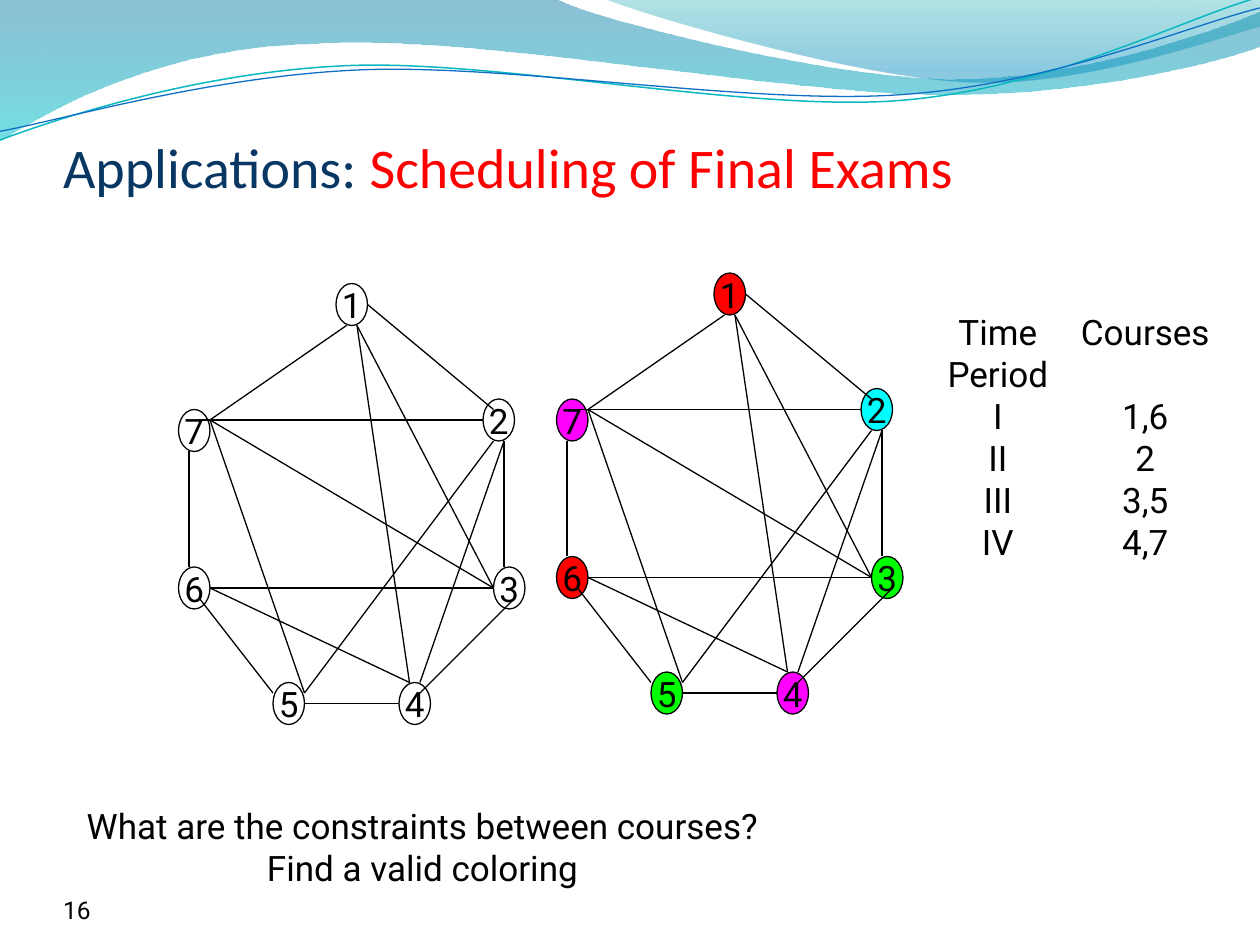
from lxml.etree import SubElement
from pptx import Presentation
from pptx.dml.color import RGBColor
from pptx.enum.shapes import MSO_CONNECTOR, MSO_SHAPE
from pptx.enum.text import MSO_ANCHOR, MSO_AUTO_SIZE, PP_ALIGN
from pptx.oxml.ns import qn
from pptx.util import Pt

BLACK = RGBColor(0x00, 0x00, 0x00)
NAVY = RGBColor(0x08, 0x37, 0x63)
RED = RGBColor(0xFF, 0x00, 0x00)
MAGENTA = RGBColor(0xFF, 0x00, 0xFF)
CYAN = RGBColor(0x00, 0xFF, 0xFF)
GREEN = RGBColor(0x00, 0xFF, 0x00)
DEEP_BLUE = RGBColor(0x00, 0x74, 0xA1)
AQUA = RGBColor(0x00, 0xC6, 0xCF)
TEAL = RGBColor(0x00, 0xA1, 0xA9)
BLUE = RGBColor(0x00, 0x8B, 0xBF)
TEAL_LINE = RGBColor(0x0A, 0xB8, 0xBF)
BLUE_LINE = RGBColor(0x0F, 0x6F, 0xC6)

# Wave outlines in points: a start, then lines (2 numbers) or Bezier curves (6)
BROAD_WAVE = [(0, 0), (317, -1), (343, 12, 478, 45, 546, 45),
              (614, 45, 690, 19, 720, 6.5), (721, 26),
              (708, 32, 626, 55, 537, 54), (448, 54, 275, 20, 185, 24.5),
              (93, 26, 33, 60, -1, 81)]
RIGHT_WAVE = [(345, -1), (366, 8, 491, 45, 554, 47),
              (616, 50, 692, 23, 720, 15), (720, 0)]
TEAL_CURVE = [(0, 80), (35, 67, 114, 41, 199, 37.5),
              (284, 34, 427, 64, 513, 57.5), (600, 51, 675, 11, 719, -1.5)]
BLUE_CURVE = [(0, 75), (34, 69, 118, 44, 204, 40),
              (290, 36, 430, 60.5, 516, 54), (602, 48, 678, 15, 720, 4.5)]

# Course conflict graph: left and top of each course, ends of each conflict
COURSES = {1: (192, 162), 7: (102, 234), 2: (276, 228), 3: (282, 324),
           6: (102, 324), 5: (156, 390), 4: (228, 390)}
CONFLICTS = [
    (210, 174, 282, 234), (204, 186, 282, 336), (204, 186, 234, 390),
    (282, 252, 174, 396), (276, 240, 114, 240), (108, 258, 108, 324),
    (120, 336, 282, 336), (174, 396, 120, 240), (234, 390, 120, 336),
    (120, 240, 198, 186), (288, 252, 288, 324), (288, 252, 240, 390),
    (228, 402, 174, 402), (156, 396, 114, 342), (240, 396, 294, 342),
    (282, 336, 120, 240)]
COLORING = {1: RED, 6: RED, 2: CYAN, 3: GREEN, 5: GREEN, 4: MAGENTA, 7: MAGENTA}


def write(shape, lines, font="Roboto", size=20, color=BLACK, align=PP_ALIGN.CENTER,
          anchor=MSO_ANCHOR.TOP, insets=None, wrap=False, fit=MSO_AUTO_SIZE.NONE,
          first_gap=0):
    """Fill a shape with lines; a line is a string or a list of (text, color)."""
    frame = shape.text_frame
    frame.word_wrap = wrap
    frame.auto_size = fit
    frame.vertical_anchor = anchor
    if insets:
        (frame.margin_left, frame.margin_top,
         frame.margin_right, frame.margin_bottom) = map(Pt, insets)
    for index, line in enumerate(lines):
        paragraph = frame.paragraphs[0] if index == 0 else frame.add_paragraph()
        paragraph.alignment = align
        if index == 0 and first_gap:
            paragraph.space_after = Pt(first_gap)
        for text, run_color in [(line, color)] if isinstance(line, str) else line:
            run = paragraph.add_run()
            run.text = text
            run.font.name = font
            run.font.size = Pt(size)
            run.font.color.rgb = run_color


def add_text(shapes, box, lines, **text_format):
    write(shapes.add_textbox(*map(Pt, box)), lines, **text_format)


def add_outline(shapes, outline, close):
    """Add a freeform, merging each three points of a curve into one Bezier."""
    start, *segments = outline
    points = [(Pt(x), Pt(y)) for segment in segments
              for x, y in zip(segment[::2], segment[1::2])]
    builder = shapes.build_freeform(Pt(start[0]), Pt(start[1]))
    builder.add_line_segments(points, close=close)
    shape = builder.convert_to_shape()
    shape.shadow.inherit = False
    steps = iter(list(shape.element.spPr.iter(qn("a:lnTo"))))
    for segment in segments:
        first = next(steps)
        if len(segment) == 6:
            first.tag = qn("a:cubicBezTo")
            for _ in range(2):
                step = next(steps)
                first.append(step[0])
                step.getparent().remove(step)
    return shape


def add_wave(shapes, outline, stops):
    """Add a closed wave; stops are (position, color, opacity in percent)."""
    wave = add_outline(shapes, outline, close=True)
    wave.line.fill.background()
    wave.fill.gradient()
    wave.fill.gradient_angle = 270
    for stop, (position, color, _) in zip(wave.fill.gradient_stops, stops):
        stop.position = position
        stop.color.rgb = color
    colors = wave.element.spPr.iter(qn("a:srgbClr"))
    for color_element, (_, _, opacity) in zip(list(colors), stops):
        SubElement(color_element, qn("a:alpha"), val=str(opacity * 1000))


def add_curve(shapes, outline, color, width):
    curve = add_outline(shapes, outline, close=False)
    curve.fill.background()
    curve.line.color.rgb = color
    curve.line.width = Pt(width)


def add_course(shapes, number, left, top, fill):
    course = shapes.add_shape(MSO_SHAPE.OVAL, Pt(left), Pt(top), Pt(18), Pt(24))
    course.shadow.inherit = False
    if fill is None:
        course.fill.background()
    else:
        course.fill.solid()
        course.fill.fore_color.rgb = fill
    course.line.color.rgb = BLACK
    course.line.width = Pt(0.75)
    write(course, [str(number)], anchor=MSO_ANCHOR.MIDDLE)


def add_conflict(shapes, *ends):
    conflict = shapes.add_connector(MSO_CONNECTOR.STRAIGHT, *map(Pt, ends))
    conflict.line.color.rgb = BLACK
    conflict.line.width = Pt(0.75)
    SubElement(conflict.element.spPr, qn("a:effectLst"))


def add_graph(shapes, dx=0, dy=0, coloring=None):
    for number, (left, top) in COURSES.items():
        add_course(shapes, number, left + dx, top + dy, (coloring or {}).get(number))
    for x1, y1, x2, y2 in CONFLICTS:
        add_conflict(shapes, x1 + dx, y1 + dy, x2 + dx, y2 + dy)


def main():
    deck = Presentation()
    deck.slide_width, deck.slide_height = Pt(720), Pt(540)
    slide = deck.slides.add_slide(deck.slide_layouts[5])
    shapes = slide.shapes

    # Wave decoration along the top
    add_wave(shapes, BROAD_WAVE, [(0, DEEP_BLUE, 45), (1, AQUA, 55)])
    add_wave(shapes, RIGHT_WAVE, [(0, TEAL, 30), (0.8, BLUE, 45)])
    curves = shapes.add_group_shape().shapes
    add_curve(curves, TEAL_CURVE, TEAL_LINE, 0.85)
    add_curve(curves, BLUE_CURVE, BLUE_LINE, 0.75)

    # Title and slide number
    title = shapes.title
    title.left, title.top, title.width, title.height = map(Pt, (36, 24, 648, 90))
    write(title, [[("Applications: ", NAVY), ("Scheduling of Final Exams", RED)]],
          font="Calibri", size=32, align=PP_ALIGN.LEFT, anchor=MSO_ANCHOR.BOTTOM,
          insets=(0, 3.6, 0, 0), wrap=True)
    add_text(shapes, (36, 492, 168, 36), ["16"], size=14, align=PP_ALIGN.LEFT,
             anchor=MSO_ANCHOR.BOTTOM, insets=(0, 0, 0, 0), wrap=True)

    # Plain graph, question and colored graph
    add_graph(shapes)
    add_text(shapes, (42, 456, 399, 55.5),
             ["What are the constraints between courses?", "Find a valid coloring"],
             fit=MSO_AUTO_SIZE.SHAPE_TO_FIT_TEXT)
    add_graph(shapes.add_group_shape().shapes, dx=216, dy=-6, coloring=COLORING)

    # Exam schedule
    schedule = shapes.add_group_shape().shapes
    add_text(schedule, (534, 174, 72.5, 151),
             ["Time", "Period", "I", "II", "III", "IV"],
             fit=MSO_AUTO_SIZE.SHAPE_TO_FIT_TEXT)
    add_text(schedule, (610, 174, 89, 151), ["Courses", "1,6", "2", "3,5", "4,7"],
             fit=MSO_AUTO_SIZE.SHAPE_TO_FIT_TEXT, first_gap=24)

    deck.save("out.pptx")


if __name__ == "__main__":
    main()
